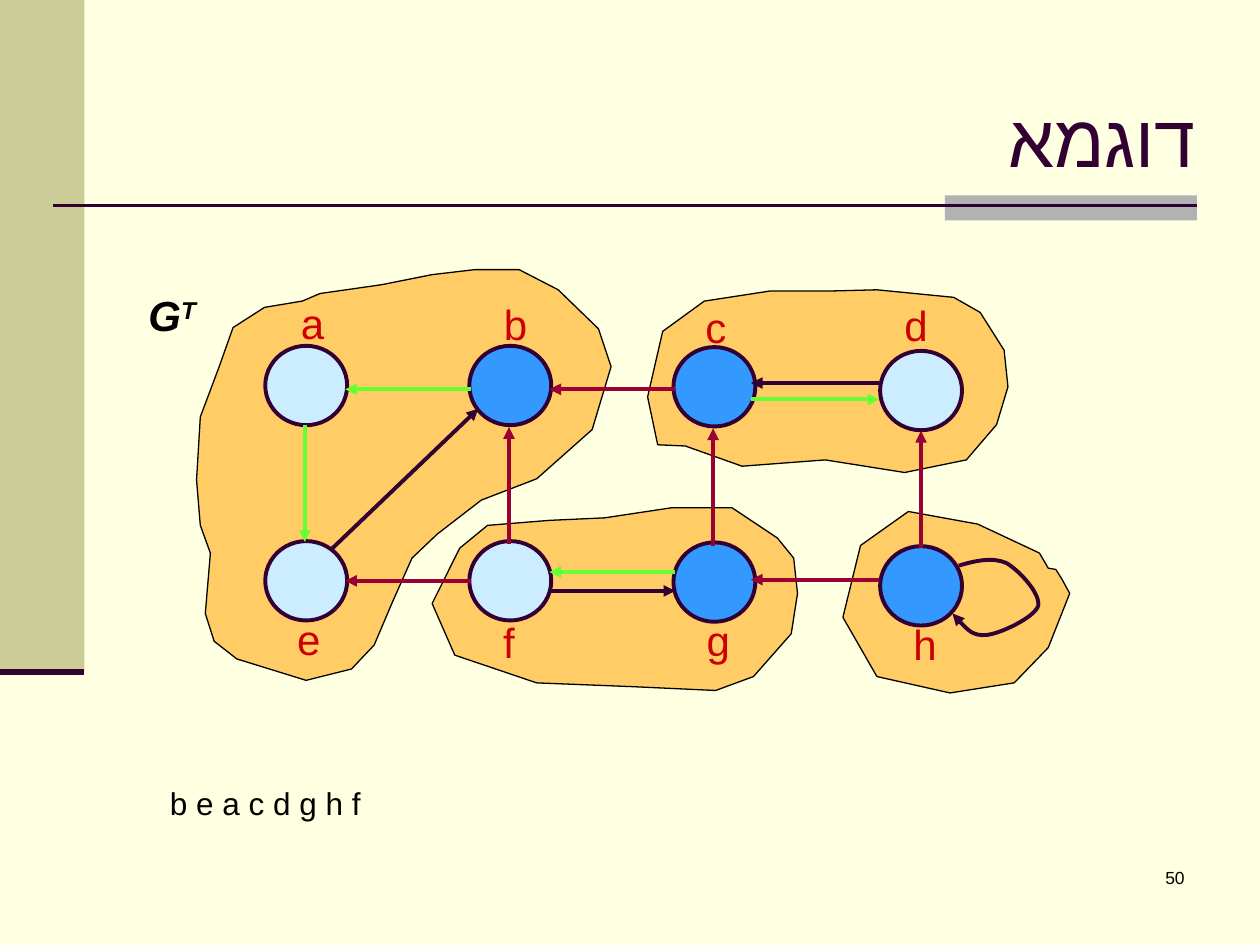
from math import hypot
from lxml.etree import SubElement
from pptx import Presentation
from pptx.dml.color import RGBColor
from pptx.enum.shapes import MSO_CONNECTOR, MSO_SHAPE
from pptx.enum.text import MSO_ANCHOR, PP_ALIGN
from pptx.oxml.ns import qn
from pptx.util import Inches, Pt

CREAM = RGBColor(0xFF, 0xFF, 0xE1)
KHAKI = RGBColor(0xCC, 0xCC, 0x99)
GRAY = RGBColor(0xB2, 0xB2, 0xB2)
PLUM = RGBColor(0x33, 0x00, 0x33)
ORANGE = RGBColor(0xFF, 0xCC, 0x66)
PALE = RGBColor(0xCC, 0xEC, 0xFF)
BLUE = RGBColor(0x33, 0x99, 0xFF)
GREEN = RGBColor(0x66, 0xFF, 0x33)
WINE = RGBColor(0x99, 0x00, 0x33)
RED = RGBColor(0xCC, 0x00, 0x00)
BLACK = RGBColor(0, 0, 0)

TITLE = "דוגמא"
VISIT_ORDER = "b e a c d g h f"
PAGE = "50"

COLUMNS = [2.43, 4.05, 5.67, 7.31]
ROWS = [3.06, 4.61]
DROPS = [0, 0, 0.01, 0.04]
NODE_W, NODE_H, REACH = 0.65, 0.63, 0.31

NODES = {
    "a": (0, 0, PALE, 2.47, 2.31),
    "b": (1, 0, BLUE, 4.08, 2.32),
    "c": (2, 0, BLUE, 5.68, 2.34),
    "d": (3, 0, PALE, 7.26, 2.33),
    "e": (0, 1, PALE, 2.44, 4.82),
    "f": (1, 1, PALE, 4.04, 4.84),
    "g": (2, 1, BLUE, 5.69, 4.83),
    "h": (3, 1, BLUE, 7.33, 4.86),
}
EDGES = [
    ("b", "a", GREEN, 0, 0.03), ("a", "e", GREEN, -0.01, 0),
    ("e", "b", PLUM, -0.03, -0.03), ("c", "b", WINE, 0, 0.03),
    ("f", "e", WINE, 0, 0), ("f", "b", WINE, -0.01, 0.02),
    ("g", "c", WINE, -0.01, 0.03), ("h", "d", WINE, 0, 0.05),
    ("h", "g", WINE, -0.02, -0.01), ("f", "g", PLUM, 0, 0.08),
    ("g", "f", GREEN, 0, -0.07), ("d", "c", PLUM, -0.02, -0.02),
    ("c", "d", GREEN, -0.02, 0.11),
]
COMPONENTS = [
    [(7.76, 4.16), (7.21, 4.06), (6.83, 4.33), (6.69, 4.9), (6.96, 5.37),
     (7.54, 5.5), (8.05, 5.42), (8.32, 5.14), (8.49, 4.71), (8.43, 4.6),
     (8.38, 4.52), (8.32, 4.51), (8.25, 4.39)],
    [(4.8, 4.11), (4.36, 4.13), (3.87, 4.17), (3.65, 4.35), (3.43, 4.79),
     (3.61, 5.2), (4.26, 5.42), (5.02, 5.45), (5.68, 5.48), (5.98, 5.37),
     (6.28, 5.03), (6.33, 4.71), (6.3, 4.43), (6.17, 4.27), (5.81, 4.03),
     (5.33, 4.03)],
    [(6.96, 2.3), (6.58, 2.31), (6.11, 2.31), (5.59, 2.39), (5.26, 2.63),
     (5.14, 3.15), (5.22, 3.53), (5.44, 3.54), (5.89, 3.7), (6.55, 3.65),
     (7.18, 3.75), (7.67, 3.65), (7.91, 3.37), (8, 3.07), (7.97, 2.78),
     (7.78, 2.48), (7.57, 2.36)],
    [(2.1, 2.44), (1.85, 2.6), (1.74, 2.91), (1.59, 3.31), (1.56, 3.81),
     (1.59, 4.17), (1.67, 4.39), (1.63, 4.87), (1.7, 5.09), (1.88, 5.23),
     (2.43, 5.4), (2.79, 5.31), (2.97, 5.12), (3.11, 4.79), (3.27, 4.43),
     (3.47, 4.24), (3.82, 3.97), (4.26, 3.8), (4.7, 3.41), (4.85, 2.91),
     (4.75, 2.61), (4.43, 2.3), (4.12, 2.14), (3.77, 2.14), (3.43, 2.18),
     (3.03, 2.26), (2.54, 2.33), (2.4, 2.39)],
]
SELF_LOOP = [(7.61, 4.49), (7.74, 4.45), (7.88, 4.42), (7.99, 4.47),
             (8.09, 4.53), (8.26, 4.71), (8.24, 4.81), (8.21, 4.9),
             (7.94, 5.03), (7.83, 5.04), (7.72, 5.05), (7.64, 4.96), (7.56, 4.87)]

deck = Presentation()
deck.slide_width, deck.slide_height = Inches(10), Inches(7.5)
slide = deck.slides.add_slide(deck.slide_layouts[5])
slide.background.fill.solid()
slide.background.fill.fore_color.rgb = CREAM
shapes = slide.shapes


def paint(shape, fill=None, line=None, width=0.75):
    shape.shadow.inherit = False
    if fill is None:
        shape.fill.background()
    else:
        shape.fill.solid()
        shape.fill.fore_color.rgb = fill
    if line is None:
        shape.line.fill.background()
    else:
        shape.line.color.rgb = line
        shape.line.width = Pt(width)


def add_preset(kind, left, top, width, height, *look):
    shape = shapes.add_shape(kind, *map(Inches, (left, top, width, height)))
    paint(shape, *look)


def add_outline(points, closed):
    corners = [(Inches(x), Inches(y)) for x, y in points]
    builder = shapes.build_freeform(*corners[0])
    builder.add_line_segments(corners[1:], close=closed)
    return builder.convert_to_shape()


def point_arrow(shape):
    SubElement(shape.line._get_or_add_ln(), qn("a:tailEnd"), type="triangle")


def add_line(x1, y1, x2, y2, color, width):
    line = shapes.add_connector(MSO_CONNECTOR.STRAIGHT, *map(Inches, (x1, y1, x2, y2)))
    line.line.color.rgb = color
    line.line.width = Pt(width)
    SubElement(line._element.spPr, qn("a:effectLst"))
    return line


def add_text(text, left, top, width, height, size, color=BLACK, align=PP_ALIGN.LEFT, wrap=True):
    box = shapes.add_textbox(*map(Inches, (left, top, width, height)))
    box.text_frame.word_wrap = wrap
    paragraph = box.text_frame.paragraphs[0]
    paragraph.text = text
    paragraph.alignment = align
    paragraph.font.name = "Arial"
    paragraph.font.size = Pt(size)
    paragraph.font.color.rgb = color
    return paragraph


add_preset(MSO_SHAPE.RECTANGLE, 0, 0, 0.67, 5.33, KHAKI)
add_preset(MSO_SHAPE.RECTANGLE, 7.5, 1.55, 2, 0.2, GRAY)
add_line(0.42, 1.63, 9.5, 1.63, PLUM, 1.5)
add_line(0, 5.33, 0.67, 5.33, PLUM, 3.5)

for outline in COMPONENTS:
    paint(add_outline(outline, True), ORANGE, BLACK)

for name, (column, row, fill, label_x, label_top) in NODES.items():
    x, y = COLUMNS[column], ROWS[row] + DROPS[column]
    add_preset(MSO_SHAPE.OVAL, x - NODE_W / 2, y - NODE_H / 2, NODE_W, NODE_H, fill, PLUM, 2.25)
    add_text(name, label_x - 0.18, label_top, 0.36, 0.5, 24, RED, PP_ALIGN.CENTER, False)

for start, end, color, dx, dy in EDGES:
    (x1, y1), (x2, y2) = [(COLUMNS[NODES[n][0]] + dx, ROWS[NODES[n][1]] + dy) for n in (start, end)]
    length = hypot(x2 - x1, y2 - y1)
    ux, uy = REACH * (x2 - x1) / length, REACH * (y2 - y1) / length
    point_arrow(add_line(x1 + ux, y1 + uy, x2 - ux, y2 - uy, color, 2.25))

loop = add_outline(SELF_LOOP, False)
paint(loop, None, PLUM, 2.25)
point_arrow(loop)
segments = list(loop._element.iter(qn("a:lnTo")))
loop_outline = segments[0].getparent()
for first in range(0, len(segments), 3):
    curve = SubElement(loop_outline, qn("a:cubicBezTo"))
    for segment in segments[first:first + 3]:
        curve.append(segment[0])
        loop_outline.remove(segment)

graph_name = add_text("G", 1.08, 2.25, 0.58, 0.5, 24, wrap=False)
graph_name.font.bold = graph_name.font.italic = True
transpose = graph_name.add_run()
transpose.text = "T"
transpose.font._element.set("baseline", "30000")

add_text(VISIT_ORDER, 1.25, 6.17, 7.58, 0.4, 18)
add_text(PAGE, 7.42, 6.83, 2.08, 0.5, 10, align=PP_ALIGN.RIGHT)

title = shapes.title
title.left, title.top, title.width, title.height = map(Inches, (1.09, 0.47, 8.5, 1.25))
title.text_frame.vertical_anchor = MSO_ANCHOR.MIDDLE
heading = title.text_frame.paragraphs[0]
heading.text = TITLE
heading.alignment = PP_ALIGN.RIGHT
heading._p.get_or_add_pPr().set("rtl", "1")
heading_font = heading.runs[0].font
heading_font.name = "Times New Roman"
heading_font.size = Pt(42)
heading_font.color.rgb = PLUM
SubElement(heading_font._element, qn("a:cs"), typeface="Arial")

deck.save("out.pptx")
